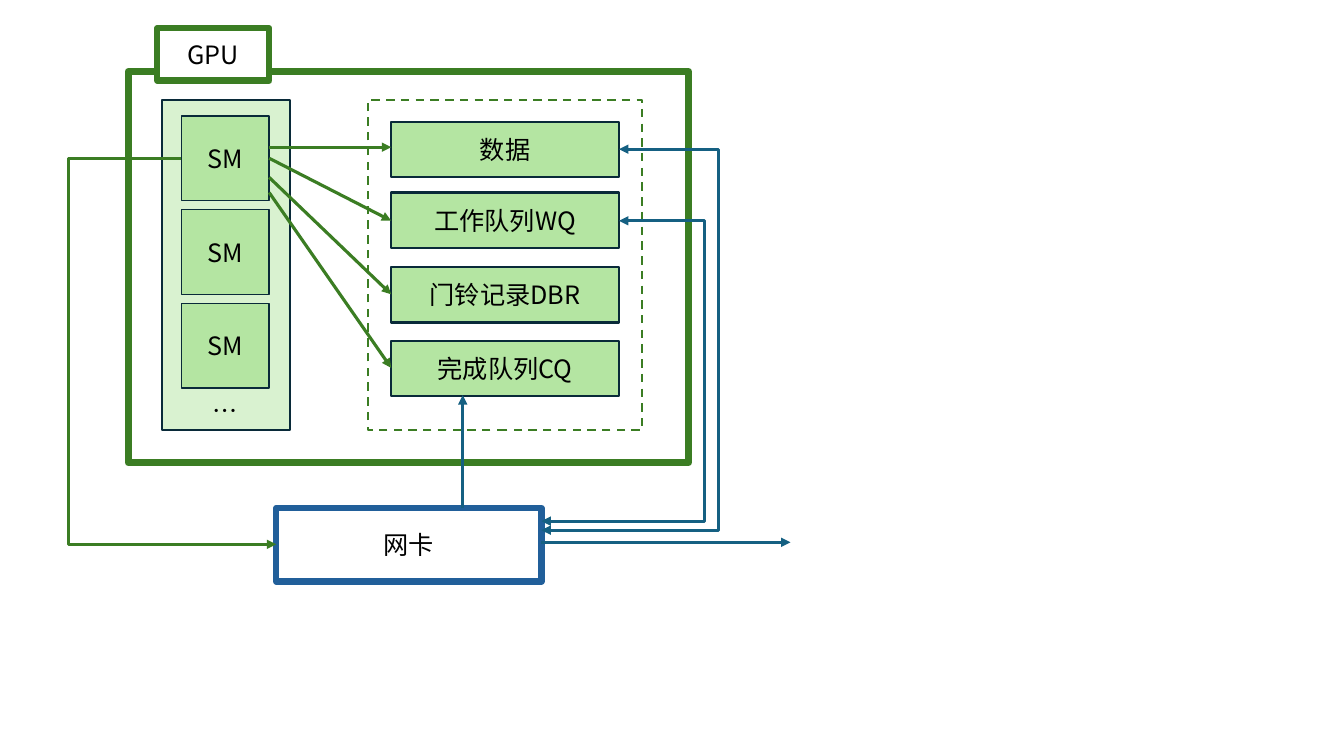
from lxml import etree
from pptx import Presentation
from pptx.dml.color import RGBColor
from pptx.enum.dml import MSO_LINE_DASH_STYLE as Dash
from pptx.enum.shapes import MSO_CONNECTOR as Connector, MSO_SHAPE as Shape
from pptx.enum.text import MSO_ANCHOR as Anchor, PP_ALIGN as Align
from pptx.oxml.ns import qn
from pptx.util import Inches, Pt

COLORS = {
    "green": "3B7D23", "pale": "D9F2D0", "light": "B4E5A2", "ink": "092A39",
    "navy": "215F9A", "teal": "156082", "white": "FFFFFF", "black": "000000",
}
CELL = 0.1  # inches per grid column and row


def grid(*lengths):
    return [Inches(CELL * length) for length in lengths]


def color(name):
    return RGBColor.from_string(COLORS[name])


def write(frame, text, size=18, font="Noto Sans CJK SC", ink="black"):
    frame.word_wrap = True
    frame.vertical_anchor = Anchor.MIDDLE
    para = frame.paragraphs[0]
    para.alignment = Align.CENTER
    span = para.add_run()
    span.text = text
    span.font.size = Pt(size)
    span.font.name = font
    span.font.color.rgb = color(ink)
    east_asian = etree.SubElement(span.font._element, qn("a:ea"))
    east_asian.set("typeface", font)


class Diagram:
    def __init__(self, page, arrow_width=2.25):
        self.shapes = page.shapes
        self.arrow_width = arrow_width

    def box(self, *place, text=None, fill=None, line="ink", width=1.5, dash=None):
        box = self.shapes.add_shape(Shape.RECTANGLE, *grid(*place))
        box.shadow.inherit = False
        if fill:
            box.fill.solid()
            box.fill.fore_color.rgb = color(fill)
        else:
            box.fill.background()
        box.line.color.rgb = color(line)
        box.line.width = Pt(width)
        if dash:
            box.line.dash_style = dash
        if text:
            write(box.text_frame, text)

    def label(self, *place, text):
        write(self.shapes.add_textbox(*grid(*place)).text_frame, text)

    def arrow(self, start, end, line="green", turn=None, both=False):
        """Draw an arrow; turn is the column of an elbow's vertical run."""
        kind = Connector.STRAIGHT if turn is None else Connector.ELBOW
        arrow = self.shapes.add_connector(kind, *grid(*start, *end))
        arrow.line.color.rgb = color(line)
        arrow.line.width = Pt(self.arrow_width)
        properties = arrow._element.spPr
        etree.SubElement(properties, qn("a:effectLst"))
        stroke = properties.find(qn("a:ln"))
        for tag in ["a:headEnd", "a:tailEnd"] if both else ["a:tailEnd"]:
            etree.SubElement(stroke, qn(tag)).set("type", "triangle")
        if turn is not None:
            share = (turn - start[0]) / (end[0] - start[0])
            geometry = properties.find(qn("a:prstGeom"))
            values = geometry.find(qn("a:avLst"))
            if values is None:
                values = etree.SubElement(geometry, qn("a:avLst"))
            guide = etree.SubElement(values, qn("a:gd"))
            guide.set("name", "adj1")
            guide.set("fmla", f"val {round(share * 100000)}")


def main():
    deck = Presentation()
    deck.slide_width, deck.slide_height = Inches(13.33), Inches(7.5)
    page = deck.slides.add_slide(deck.slide_layouts[6])
    diagram = Diagram(page)

    diagram.box(12.7, 7.1, 55.6, 38.8, line="green", width=5)
    diagram.box(16.1, 9.9, 12.7, 32.8, fill="pale")
    for index in range(3):
        diagram.box(18, 11.5 + 9.3 * index, 8.7, 8.4, text="SM", fill="light", width=1)
    diagram.box(36.5, 9.9, 27.2, 32.8, line="green", dash=Dash.DASH)
    diagram.label(19.2, 36.5, 6.3, 8.4, text="…")

    memory = [
        ("数据", 12.1, 14.6, 14.6),
        ("工作队列WQ", 19.1, 15.7, 21.9),
        ("门铃记录DBR", 26.5, 17.6, 29.2),
        ("完成队列CQ", 33.8, 19.1, 36.5),
    ]
    for name, top, _, _ in memory:
        diagram.box(38.8, top, 22.6, 5.5, text=name, fill="light")
    diagram.box(27.4, 50.4, 26.3, 7.3, text="网卡", line="navy", width=4.5)

    diagram.arrow((18, 15.7), (27.4, 54), turn=6.8)
    diagram.arrow((53.7, 53.8), (78.4, 53.8), line="teal")
    for _, _, leave, arrive in memory:
        diagram.arrow((26.7, leave), (38.8, arrive))
    diagram.arrow((45.9, 50.4), (45.9, 39.2), line="teal")
    diagram.box(15.6, 2.8, 11.1, 5.2, text="GPU", fill="white", line="green", width=4.5)
    for top, bottom, turn in [(14.8, 52.6, 71.3), (21.9, 51.7, 69.9)]:
        diagram.arrow((61.4, top), (53.7, bottom), line="teal", turn=turn, both=True)

    deck.save("out.pptx")


if __name__ == "__main__":
    main()
